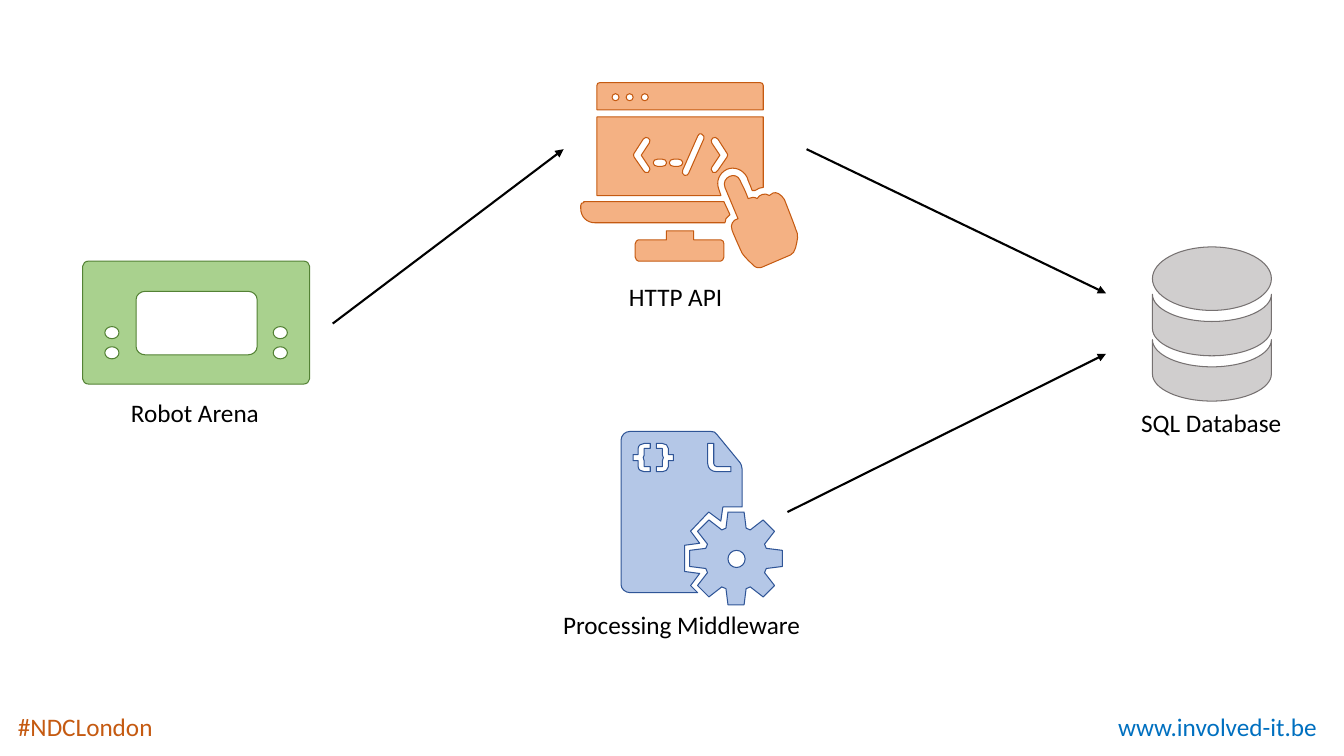
from math import cos, radians, sin

from lxml.etree import SubElement
from pptx import Presentation
from pptx.dml.color import RGBColor
from pptx.enum.shapes import MSO_CONNECTOR
from pptx.enum.text import MSO_ANCHOR, MSO_AUTO_SIZE, PP_ALIGN
from pptx.oxml.ns import qn
from pptx.util import Inches, Pt

COLOURS = {
    "green": "A9D18E", "green_edge": "548235",
    "orange": "F4B183", "orange_edge": "C55A11",
    "blue": "B4C7E7", "blue_edge": "2F5597",
    "grey": "D0CECE", "grey_edge": "767171",
    "black": "000000", "link": "0070C0",
}

LABELS = [
    ("#NDCLondon", 0.08, 7.01, 1.56, "orange_edge", MSO_ANCHOR.MIDDLE, PP_ALIGN.LEFT),
    ("www.involved-it.be", 10.99, 7.01, 2.19, "link", MSO_ANCHOR.MIDDLE, PP_ALIGN.LEFT),
    ("SQL Database", 11.22, 3.99, 1.61, "black", MSO_ANCHOR.TOP, PP_ALIGN.LEFT),
    ("HTTP API", 6.14, 2.74, 1.13, "black", MSO_ANCHOR.TOP, PP_ALIGN.LEFT),
    ("Processing Middleware", 5.47, 6, 2.58, "black", MSO_ANCHOR.TOP, PP_ALIGN.CENTER),
    ("Robot Arena", 1.2, 3.89, 1.49, "black", MSO_ANCHOR.TOP, PP_ALIGN.LEFT),
]

ARROWS = [
    (3.3, 3.21, 5.59, 1.48),
    (8, 1.48, 10.97, 2.91),
    (7.81, 5.08, 10.97, 3.51),
]

HAND = """7.89,2.27 C 7.89,2.26 7.78,1.98 7.78,1.98 C 7.76,1.96 7.75,1.93 7.72,1.92
C 7.68,1.9 7.65,1.92 7.63,1.94 C 7.59,1.91 7.53,1.93 7.51,1.97 C 7.48,1.95 7.45,1.96 7.42,1.97
C 7.38,1.86 7.36,1.84 7.34,1.79 C 7.3,1.69 7.15,1.76 7.19,1.86 7.32,2.17
C 7.27,2.18 7.24,2.23 7.26,2.28 C 7.26,2.29 7.34,2.47 7.35,2.49 C 7.36,2.53 7.45,2.61 7.48,2.64
C 7.5,2.66 7.54,2.66 7.56,2.65 7.84,2.53 C 7.89,2.51 7.9,2.42 7.91,2.36 C 7.91,2.33 7.91,2.3 7.89,2.27"""
STAND = """7.15,2.38 6.88,2.38 6.88,2.29 6.61,2.29 6.61,2.38 6.33,2.38 C 6.32,2.38 6.3,2.4 6.3,2.42
6.3,2.55 C 6.3,2.57 6.32,2.59 6.33,2.59 7.15,2.59 C 7.16,2.59 7.18,2.57 7.18,2.55
7.18,2.42 C 7.18,2.4 7.17,2.38 7.15,2.38"""
KEYBOARD = """5.79,2.01 C 5.77,2.01 5.76,2.02 5.76,2.04 5.76,2.07 C 5.76,2.15 5.82,2.21 5.9,2.21
7.19,2.21 C 7.19,2.2 7.2,2.19 7.2,2.17 7.24,2.13 7.18,2 5.79,2"""
TITLE_BAR = """7.57,0.85 C 7.57,0.83 7.56,0.82 7.54,0.82 5.95,0.82 C 5.93,0.82 5.92,0.83 5.92,0.85
5.92,1.09 7.57,1.09"""
SCREEN = """7.13,1.88 C 7.1,1.8 7.13,1.72 7.21,1.68 C 7.28,1.65 7.37,1.68 7.41,1.76
C 7.42,1.8 7.44,1.83 7.46,1.89 7.49,1.89 C 7.52,1.87 7.54,1.86 7.57,1.86
7.57,1.16 5.92,1.16 5.92,1.94 7.15,1.94"""
CHEVRON = """6.44,1.66 C 6.45,1.67 6.45,1.69 6.43,1.71 C 6.41,1.72 6.39,1.71 6.38,1.69 6.29,1.56
C 6.28,1.54 6.28,1.53 6.29,1.52 6.38,1.38 C 6.4,1.36 6.41,1.36 6.43,1.37
C 6.45,1.38 6.45,1.4 6.44,1.42 6.36,1.54"""
SLASH = """6.98,1.38 6.83,1.72 C 6.83,1.74 6.8,1.74 6.79,1.74 C 6.77,1.73 6.76,1.71 6.77,1.69
6.92,1.35 C 6.93,1.33 6.94,1.32 6.96,1.33 C 6.98,1.34 6.99,1.36 6.98,1.38"""
SHEET = """6.85,5.81 6.94,5.69 6.79,5.67 6.79,5.41 6.94,5.39 6.85,5.27 7.03,5.08 7.15,5.17
7.17,5.03 7.36,5.03 7.36,4.65 C 7.36,4.63 7.35,4.6 7.34,4.59 7.11,4.31
C 7.1,4.29 7.08,4.28 7.05,4.28 6.25,4.28 C 6.2,4.28 6.16,4.32 6.16,4.37
6.16,5.8 C 6.16,5.84 6.2,5.88 6.25,5.88 6.92,5.88"""
FOLD = """7.02,4.4 7.08,4.4 7.08,4.6 C 7.08,4.61 7.09,4.63 7.11,4.63 7.25,4.63 7.25,4.68
7.11,4.68 C 7.06,4.68 7.02,4.65 7.02,4.6"""
BRACE = """6.45,4.45 6.39,4.45 6.39,4.49 C 6.39,4.51 6.39,4.53 6.38,4.54 C 6.39,4.56 6.39,4.58 6.39,4.59
6.39,4.63 6.45,4.63 6.45,4.68 6.39,4.68 C 6.36,4.68 6.33,4.66 6.33,4.63 6.33,4.57
6.28,4.57 6.28,4.51 6.33,4.51 6.33,4.45 C 6.33,4.42 6.36,4.4 6.39,4.4 6.45,4.4"""


def outline(text):
    tokens = iter(text.split())
    segments = []
    for token in tokens:
        pairs = [next(tokens) for _ in range(3)] if token == "C" else [token]
        segments.append([tuple(map(float, pair.split(","))) for pair in pairs])
    return segments


def arc(x, y, radius_x, radius_y, start, quarters, pull=0.55):
    turn = 1 if quarters > 0 else -1

    def at(angle, lean=0):
        across, down = cos(radians(angle)), sin(radians(angle))
        return x + radius_x * (across - lean * down), y + radius_y * (down + lean * across)

    angles = [start + 90 * turn * step for step in range(abs(quarters) + 1)]
    return [[at(start)]] + [[at(a, turn * pull), at(b, -turn * pull), at(b)]
                            for a, b in zip(angles, angles[1:])]


def rounded(left, top, width, height, radius_x, radius_y):
    near_x, far_x = left + radius_x, left + width - radius_x
    near_y, far_y = top + radius_y, top + height - radius_y
    corners = [(far_x, far_y), (near_x, far_y), (near_x, near_y), (far_x, near_y)]
    return [segment for index, (x, y) in enumerate(corners)
            for segment in arc(x, y, radius_x, radius_y, 90 * index, 1)]


def oval(left, top, width, height):
    return arc(left + width / 2, top + height / 2, width / 2, height / 2, 0, 4)


def mirrored(segments, axis):
    return [[(2 * axis - x, y) for x, y in segment] for segment in segments]


def gear(x, y, teeth=8):
    tooth = [(-0.1, -0.3), (-0.08, -0.46), (0.08, -0.46), (0.1, -0.3)]
    turns = [radians(360 * index / teeth) for index in range(teeth)]
    return [[(x + across * cos(turn) - up * sin(turn), y + across * sin(turn) + up * cos(turn))]
            for turn in turns for across, up in tooth]


def disk_band(top):
    return arc(12.02, top, 0.59, 0.27, 180, -2) + arc(12.02, top + 0.34, 0.59, 0.27, 0, 2)


robot = [rounded(0.82, 2.59, 2.25, 1.22, 0.06, 0.05), rounded(1.35, 2.89, 1.2, 0.63, 0.09, 0.08)]
robot += [oval(left, top, 0.14, 0.12) for left in (1.04, 2.71) for top in (3.24, 3.44)]
title_bar = [outline(TITLE_BAR)] + [oval(left, 0.93, 0.07, 0.07) for left in (6.07, 6.21, 6.36)]
chevron = outline(CHEVRON)
screen = [outline(SCREEN), chevron, mirrored(chevron, 6.75), outline(SLASH)]
screen += [rounded(left, 1.58, 0.13, 0.07, 0.04, 0.03) for left in (6.48, 6.64)]
brace = outline(BRACE)
sheet = [outline(SHEET), outline(FOLD), brace, mirrored(brace, 6.48)]
wheel = [gear(7.3, 5.54), oval(7.22, 5.46, 0.17, 0.17)]
database = [disk_band(3.37), disk_band(2.92), oval(11.43, 2.45, 1.18, 0.63)]

ICONS = [
    ("green", [robot]),
    ("orange", [[outline(HAND)], [outline(STAND)], [outline(KEYBOARD)], title_bar, screen]),
    ("blue", [sheet, wheel]),
    ("grey", [database]),
]


def colour(name):
    return RGBColor.from_string(COLOURS[name])


def bend_lines(part, contours):
    segments = [segment for contour in contours for segment in contour[1:]]
    for line, segment in zip(list(part._element.iter(qn("a:lnTo"))), segments):
        if len(segment) == 3:
            curve = SubElement(line.getparent(), qn("a:cubicBezTo"))
            for x, y in segment:
                SubElement(curve, qn("a:pt"), x=str(Inches(x) - part.left), y=str(Inches(y) - part.top))
            line.getparent().replace(line, curve)


def draw_part(shapes, contours, name):
    ends = [[tuple(map(Inches, segment[-1])) for segment in contour] for contour in contours]
    builder = shapes.build_freeform(*ends[0][0])
    for index, points in enumerate(ends):
        if index:
            builder.move_to(*points[0])
        builder.add_line_segments(points[1:], close=True)
    part = builder.convert_to_shape()
    bend_lines(part, contours)
    part.shadow.inherit = False
    part.fill.solid()
    part.fill.fore_color.rgb = colour(name)
    part.line.color.rgb = colour(name + "_edge")
    part.line.width = Pt(0)


def draw_label(page, text, left, top, width, name, anchor, align):
    box = page.shapes.add_textbox(Inches(left), Inches(top), Inches(width), Inches(0.4))
    frame = box.text_frame
    frame.text = text
    frame.word_wrap = False
    frame.auto_size = MSO_AUTO_SIZE.SHAPE_TO_FIT_TEXT
    frame.vertical_anchor = anchor
    para = frame.paragraphs[0]
    para.alignment = align
    font = para.runs[0].font
    font.name, font.size = "Calibri", Pt(18)
    font.color.rgb = colour(name)


def draw_arrow(page, ends):
    arrow = page.shapes.add_connector(MSO_CONNECTOR.STRAIGHT, *map(Inches, ends))
    arrow.line.color.rgb = colour("black")
    arrow.line.width = Pt(1.5)
    SubElement(arrow._element.spPr.find(qn("a:ln")), qn("a:tailEnd"), type="triangle")
    SubElement(arrow._element.spPr, qn("a:effectLst"))


def main():
    deck = Presentation()
    deck.slide_width, deck.slide_height = Inches(13.33), Inches(7.5)
    page = deck.slides.add_slide(deck.slide_layouts[6])
    for name, parts in ICONS:
        shapes = page.shapes.add_group_shape().shapes if len(parts) > 1 else page.shapes
        for contours in parts:
            draw_part(shapes, contours, name)
    for label in LABELS:
        draw_label(page, *label)
    for ends in ARROWS:
        draw_arrow(page, ends)
    deck.save("out.pptx")


if __name__ == "__main__":
    main()
